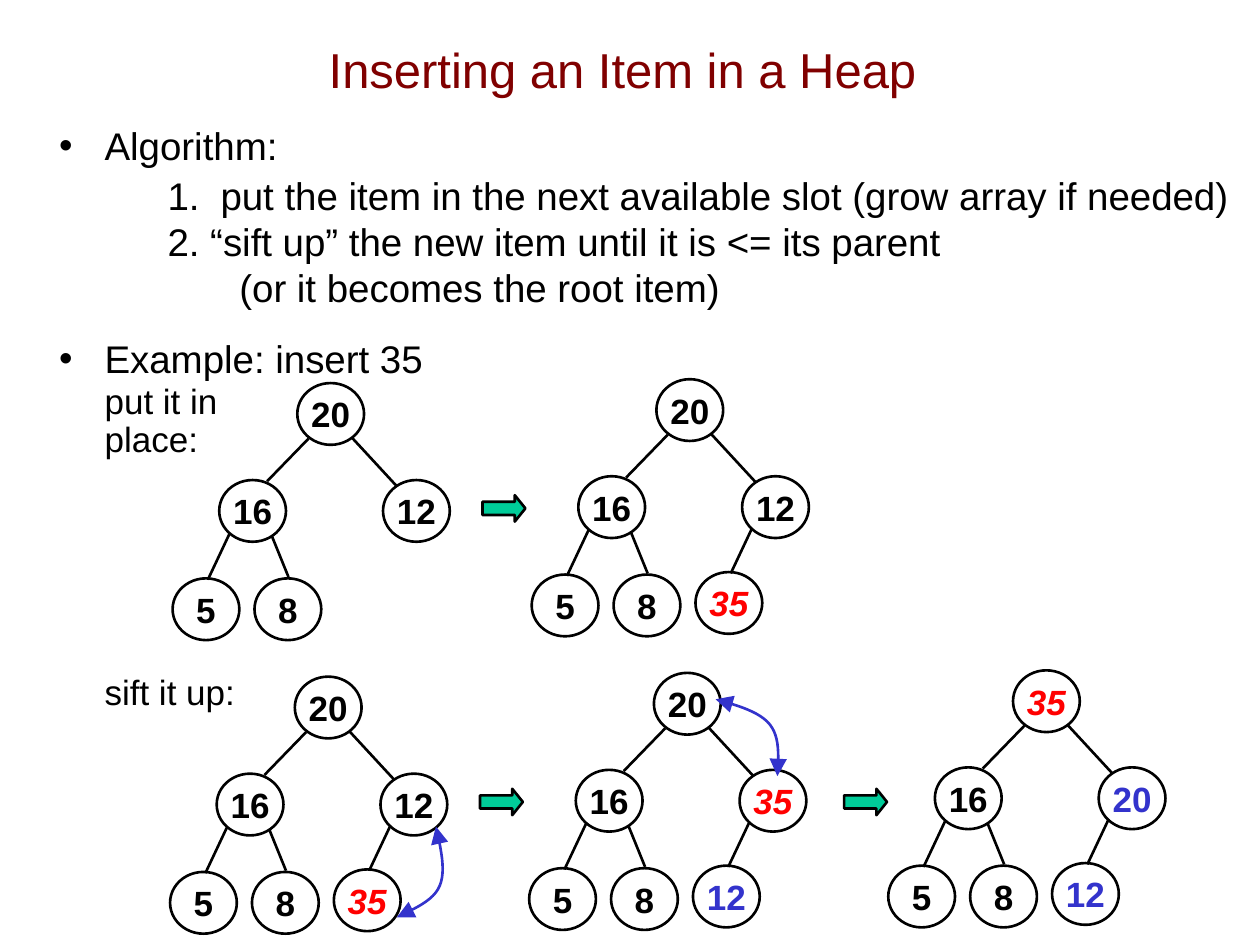
import pptx
import pptx.dml.color
import pptx.enum.shapes
import pptx.enum.text
import pptx.oxml
import pptx.oxml.ns
import pptx.util
from pptx.util import Inches

BLACK = pptx.dml.color.RGBColor(0x00, 0x00, 0x00)
MAROON = pptx.dml.color.RGBColor(0x80, 0x00, 0x00)
RED = pptx.dml.color.RGBColor(0xFF, 0x00, 0x00)
BLUE = pptx.dml.color.RGBColor(0x33, 0x33, 0xCC)
GREEN = pptx.dml.color.RGBColor(0x00, 0xCC, 0x99)

NODE_OFFSETS = [(0, 0), (-0.62, 0.77), (0.68, 0.77),
                (-0.99, 1.55), (-0.34, 1.55), (0.31, 1.53)]
EDGE_OFFSETS = [(0.09, 0.44, -0.24, 0.78), (0.43, 0.43, 0.79, 0.82),
                (-0.54, 1.2, -0.71, 1.56), (-0.2, 1.22, -0.07, 1.54),
                (0.76, 1.18, 0.59, 1.54)]
TREES = [
    (2.36, 3.04, "20 16 12 5 8", {}),
    (5.21, 3.01, "20 16 12 5 8 35", {}),
    (2.34, 5.37, "20 16 12 5 8 35", {}),
    (5.19, 5.34, "20 16 35 5 8 12", {"12": BLUE}),
    (8.04, 5.32, "35 16 20 5 8 12", {"20": BLUE, "12": BLUE}),
]
STEP_ARROWS = [(3.83, 3.93), (3.81, 6.26), (6.7, 6.26)]
SWAP_CURVES = [
    [(3.46, 6.56), (3.5, 6.74), (3.54, 6.91), (3.49, 7.03),
     (3.44, 7.15), (3.29, 7.21), (3.15, 7.28)],
    [(5.68, 5.55), (5.86, 5.6), (6.03, 5.65), (6.11, 5.75),
     (6.19, 5.85), (6.18, 6), (6.17, 6.16)],
]


def bezier_points(controls, steps=12):
    """Return points along a chain of cubic Bézier segments."""
    points = [controls[0]]
    for start in range(0, len(controls) - 1, 3):
        segment = controls[start:start + 4]
        for step in range(1, steps + 1):
            t = step / steps
            weights = ((1 - t) ** 3, 3 * t * (1 - t) ** 2, 3 * t * t * (1 - t), t ** 3)
            points.append(tuple(sum(weight * point[axis] for weight, point in zip(weights, segment))
                                for axis in (0, 1)))
    return points


class HeapSlide:
    """Hold the shared style and the slide being drawn."""

    font = "Arial"
    line_width = pptx.util.Pt(1.5)

    def __init__(self, presentation):
        self.slide = presentation.slides.add_slide(presentation.slide_layouts[1])

    def add_run(self, paragraph, text, size, color, bold=False, italic=False):
        run = paragraph.add_run()
        run.text = text
        run.font.name = self.font
        run.font.size = pptx.util.Pt(size)
        run.font.bold = bold
        run.font.italic = italic
        run.font.color.rgb = color

    def set_line(self, shape, color=BLACK):
        shape.line.color.rgb = color
        shape.line.width = self.line_width

    def place(self, placeholder, left, top, width, height, anchor):
        placeholder.left, placeholder.top = Inches(left), Inches(top)
        placeholder.width, placeholder.height = Inches(width), Inches(height)
        frame = placeholder.text_frame
        frame.auto_size = pptx.enum.text.MSO_AUTO_SIZE.NONE
        frame.word_wrap = True
        frame.vertical_anchor = anchor
        return frame

    def title(self, text):
        frame = self.place(self.slide.shapes.title, 0.64, 0.08, 8.6, 0.93,
                           pptx.enum.text.MSO_ANCHOR.MIDDLE)
        paragraph = frame.paragraphs[0]
        paragraph.alignment = pptx.enum.text.PP_ALIGN.CENTER
        self.add_run(paragraph, text, 28, MAROON)

    def body(self, items):
        frame = self.place(self.slide.placeholders[1], 0.37, 0.92, 9.63, 6.14,
                           pptx.enum.text.MSO_ANCHOR.TOP)
        for index, (lines, size, margin, indent, before, spacing, bullet) in enumerate(items):
            paragraph = frame.add_paragraph() if index else frame.paragraphs[0]
            paragraph.space_before = pptx.util.Pt(before)
            paragraph.line_spacing = spacing
            properties = paragraph._p.get_or_add_pPr()
            properties.set("marL", str(Inches(margin)))
            properties.set("indent", str(Inches(indent)))
            mark = pptx.oxml.ns.qn("a:buChar" if bullet else "a:buNone")
            element = properties.makeelement(mark, {"char": "•"} if bullet else {})
            properties.append(element)
            for number, line in enumerate(lines):
                if number:
                    paragraph.add_line_break()
                self.add_run(paragraph, line, size, BLACK)

    def node(self, left, top, value, color):
        shape = self.slide.shapes.add_shape(pptx.enum.shapes.MSO_SHAPE.OVAL, Inches(left),
                                            Inches(top), Inches(0.53), Inches(0.49))
        shape.shadow.inherit = False
        shape.fill.background()
        self.set_line(shape)
        frame = shape.text_frame
        frame.word_wrap = False
        frame.margin_left = frame.margin_right = frame.margin_top = frame.margin_bottom = 0
        frame.vertical_anchor = pptx.enum.text.MSO_ANCHOR.MIDDLE
        paragraph = frame.paragraphs[0]
        paragraph.alignment = pptx.enum.text.PP_ALIGN.CENTER
        self.add_run(paragraph, value, 20, color, bold=True, italic=color == RED)

    def edge(self, *ends):
        connector = self.slide.shapes.add_connector(
            pptx.enum.shapes.MSO_CONNECTOR.STRAIGHT, *map(Inches, ends))
        self.set_line(connector)
        properties = connector.element.spPr
        properties.append(properties.makeelement(pptx.oxml.ns.qn("a:effectLst"), {}))

    def tree(self, left, top, values, colors):
        values = values.split()
        for x1, y1, x2, y2 in EDGE_OFFSETS[:len(values) - 1]:
            self.edge(left + x1, top + y1, left + x2, top + y2)
        for value, (x, y) in zip(values, NODE_OFFSETS):
            color = RED if value == "35" else colors.get(value, BLACK)
            self.node(left + x, top + y, value, color)

    def step_arrow(self, left, top):
        shape = self.slide.shapes.add_shape(pptx.enum.shapes.MSO_SHAPE.RIGHT_ARROW, Inches(left),
                                            Inches(top), Inches(0.34), Inches(0.21))
        shape.adjustments[0], shape.adjustments[1] = 0.5, 0.4
        shape.shadow.inherit = False
        shape.fill.solid()
        shape.fill.fore_color.rgb = GREEN
        self.set_line(shape)

    def swap_curve(self, controls):
        points = [(Inches(x), Inches(y)) for x, y in bezier_points(controls)]
        builder = self.slide.shapes.build_freeform(*points[0])
        builder.add_line_segments(points[1:], close=False)
        shape = builder.convert_to_shape()
        shape.shadow.inherit = False
        shape.fill.background()
        self.set_line(shape, BLUE)
        line = shape.element.spPr.find(pptx.oxml.ns.qn("a:ln"))
        for end in ("a:headEnd", "a:tailEnd"):
            line.append(line.makeelement(pptx.oxml.ns.qn(end),
                                         {"type": "triangle", "w": "lg", "len": "lg"}))


def main():
    presentation = pptx.Presentation()
    presentation.slide_width, presentation.slide_height = Inches(10), Inches(7.5)
    heap = HeapSlide(presentation)
    heap.title("Inserting an Item in a Heap")
    heap.body([
        (["Algorithm:"], 22, 0.36, -0.36, 14, 1.0, True),
        (["1.\tput the item in the next available slot (grow array if needed)"],
         22, 1.28, -0.42, 2, 1.0, False),
        (["2. “sift up” the new item until it is <= its parent"], 22, 0.86, 0, 0, 1.0, False),
        (["(or it becomes the root item)"], 22, 1.43, 0, 0, 1.0, False),
        (["Example: insert 35"], 22, 0.36, -0.36, 14, 1.0, True),
        (["put it in", "place:"], 20, 0.36, 0, 2, 0.9, False),
        (["sift it up:"], 20, 0.36, 0, 123, 0.9, False),
    ])
    for tree in TREES:
        heap.tree(*tree)
    for position in STEP_ARROWS:
        heap.step_arrow(*position)
    for controls in SWAP_CURVES:
        heap.swap_curve(controls)
    presentation.save("out.pptx")


if __name__ == "__main__":
    main()
